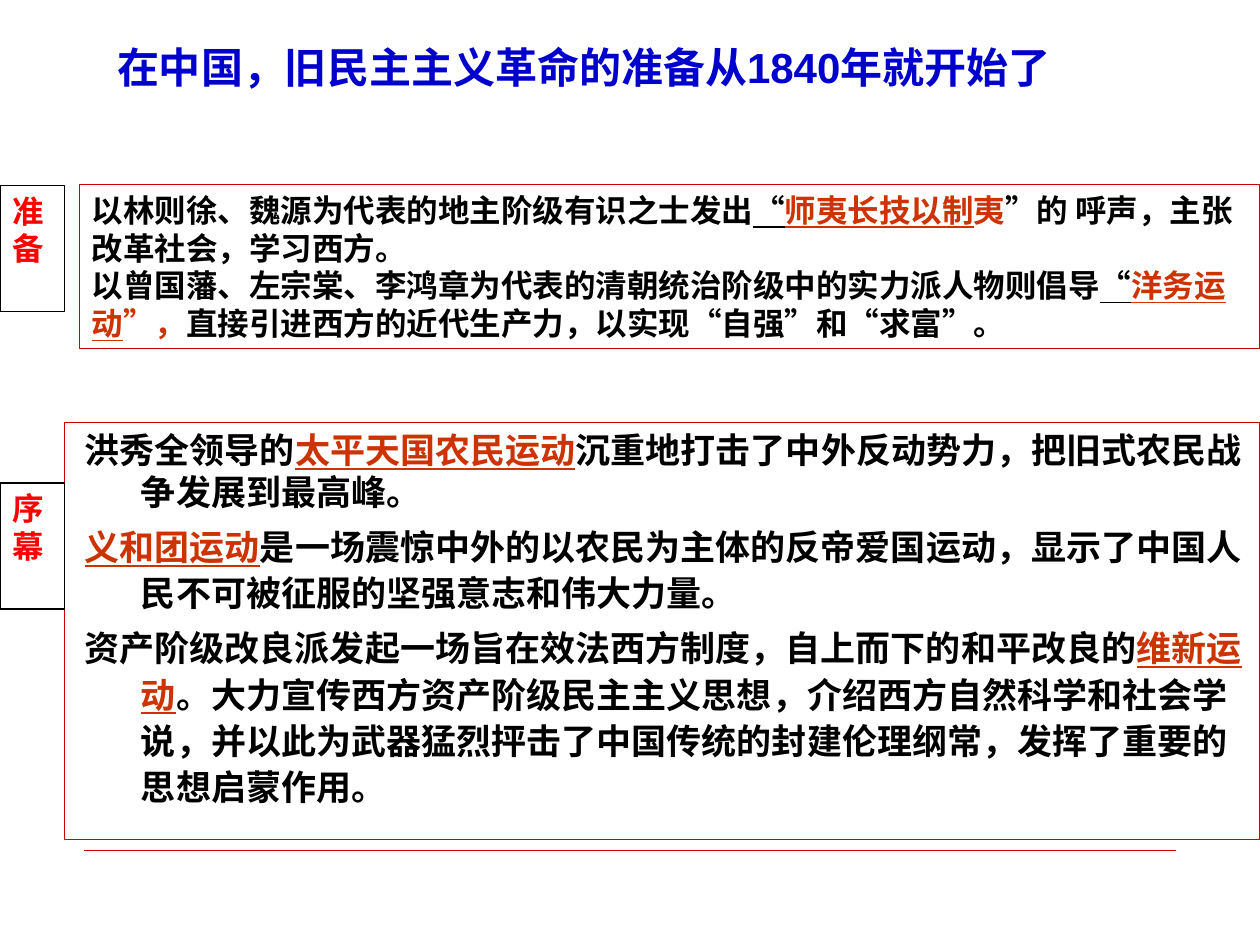
from dataclasses import dataclass
from typing import Optional

from lxml.etree import SubElement
from pptx import Presentation
from pptx.dml.color import RGBColor
from pptx.enum.shapes import MSO_CONNECTOR, MSO_SHAPE
from pptx.enum.text import MSO_ANCHOR, PP_ALIGN
from pptx.oxml.ns import qn
from pptx.util import Pt


@dataclass(frozen=True)
class Theme:
    paper: RGBColor = RGBColor(0xFF, 0xFF, 0xFF)
    ink: RGBColor = RGBColor(0, 0, 0)
    rule: RGBColor = RGBColor(0xCC, 0, 0)
    accent: RGBColor = RGBColor(0xCC, 0x33, 0)
    label: RGBColor = RGBColor(0xFF, 0, 0)
    title: RGBColor = RGBColor(0, 0, 0xCC)
    latin: str = "Arial"
    cjk: str = "Noto Sans CJK SC"
    title_size: int = 24
    body_size: int = 20
    small_size: int = 18


T = Theme()


@dataclass(frozen=True)
class Span:
    text: str
    color: RGBColor = T.ink
    underline: bool = False


@dataclass(frozen=True)
class Para:
    spans: list[Span]
    line_spacing: float = 1.0
    before: float = 0


@dataclass(frozen=True)
class Box:
    left: float
    top: float
    width: float
    height: float
    paras: list[Para]
    size: int
    font: str = T.cjk
    line: Optional[RGBColor] = T.rule
    wrap: bool = True
    margin: float = 0
    indent: float = 0


def key(text: str) -> Span:
    return Span(text, T.accent, True)


def one(text: str, color: RGBColor) -> list[Para]:
    return [Para([Span(text, color)])]


def add_box(s, box: Box) -> None:
    sp = s.shapes.add_shape(MSO_SHAPE.RECTANGLE, Pt(box.left), Pt(box.top),
                            Pt(box.width), Pt(box.height))
    sp.shadow.inherit = False
    sp.fill.solid()
    sp.fill.fore_color.rgb = T.paper
    if box.line is None:
        sp.line.fill.background()
    else:
        sp.line.color.rgb = box.line
        sp.line.width = Pt(0.75)
    tf = sp.text_frame
    tf.word_wrap = box.wrap
    tf.vertical_anchor = MSO_ANCHOR.TOP
    for i, para in enumerate(box.paras):
        p = tf.paragraphs[0] if i == 0 else tf.add_paragraph()
        add_spans(p, para, box)


def add_spans(p, para: Para, box: Box) -> None:
    p.alignment = PP_ALIGN.LEFT
    p.line_spacing = para.line_spacing
    p.space_before = Pt(para.before)
    pPr = p._p.get_or_add_pPr()
    pPr.set("marL", str(Pt(box.margin)))
    pPr.set("indent", str(Pt(box.indent)))
    p.font.size = Pt(box.size)
    p.font.bold = True
    p.font.name = box.font
    # East Asian face for the Chinese text and its quotation marks
    SubElement(pPr.find(qn("a:defRPr")), qn("a:ea")).set("typeface", T.cjk)
    for span in para.spans:
        r = p.add_run()
        r.text = span.text
        r.font.color.rgb = span.color
        if span.underline:
            r.font.underline = True


def add_rule(s, x1: float, x2: float, y: float) -> None:
    line = s.shapes.add_connector(MSO_CONNECTOR.STRAIGHT, Pt(x1), Pt(y), Pt(x2), Pt(y))
    line.line.color.rgb = T.rule
    line.line.width = Pt(0.25)
    SubElement(line._element.spPr, qn("a:effectLst"))


PRELUDE = [
    Para([Span("洪秀全领导的"), key("太平天国农民运动"),
          Span("沉重地打击了中外反动势力，把旧式农民战争发展到最高峰。")]),
    Para([key("义和团运动"),
          Span("是一场震惊中外的以农民为主体的反帝爱国运动，显示了中国人民不可被征服的坚强意志和伟大力量。")],
         1.1, 5),
    Para([Span("资产阶级改良派发起一场旨在效法西方制度，自上而下的和平改良的"), key("维新运动"),
          Span("。大力宣传西方资产阶级民主主义思想，介绍西方自然科学和社会学说，"
               "并以此为武器猛烈抨击了中国传统的封建伦理纲常，发挥了重要的思想启蒙作用。")],
         1.1, 5),
]
PREPARATION = [
    Para([Span("以林则徐、魏源为代表的地主阶级有识之士发出"), Span("“", T.ink, True),
          key("师夷长技以制"), Span("夷", T.accent),
          Span("”的 呼声，主张改革社会，学习西方。")]),
    Para([Span("以曾国藩、左宗棠、李鸿章为代表的清朝统治阶级中的实力派人物则倡导"),
          Span("“", T.ink, True), key("洋务运动"), Span("”，", T.accent),
          Span("直接引进西方的近代生产力，以实现“自强”和“求富”。")]),
]


def main() -> None:
    prs = Presentation()
    prs.slide_width, prs.slide_height = Pt(720), Pt(540)
    s = prs.slides.add_slide(prs.slide_layouts[6])

    # Footer rule
    add_rule(s, 48, 672, 486)

    # Prelude: movements that opened the revolution
    add_box(s, Box(36.8, 241.5, 683.2, 238.3, PRELUDE, T.body_size,
                   margin=36.7, indent=-32.2))

    # Title
    add_box(s, Box(59.8, 20.2, 559.4, 36, one("在中国，旧民主主义革命的准备从1840年就开始了", T.title),
                   T.title_size, T.latin, None, wrap=False))

    # Preparation: reform-minded officials
    add_box(s, Box(45.3, 105.5, 674.7, 93.6, PREPARATION, T.small_size))

    # Side labels
    for text, top in (("准备", 106), ("序幕", 276)):
        add_box(s, Box(0, top, 36.8, 72, one(text, T.label), T.small_size, T.latin, T.ink))

    prs.save("out.pptx")


if __name__ == "__main__":
    main()
